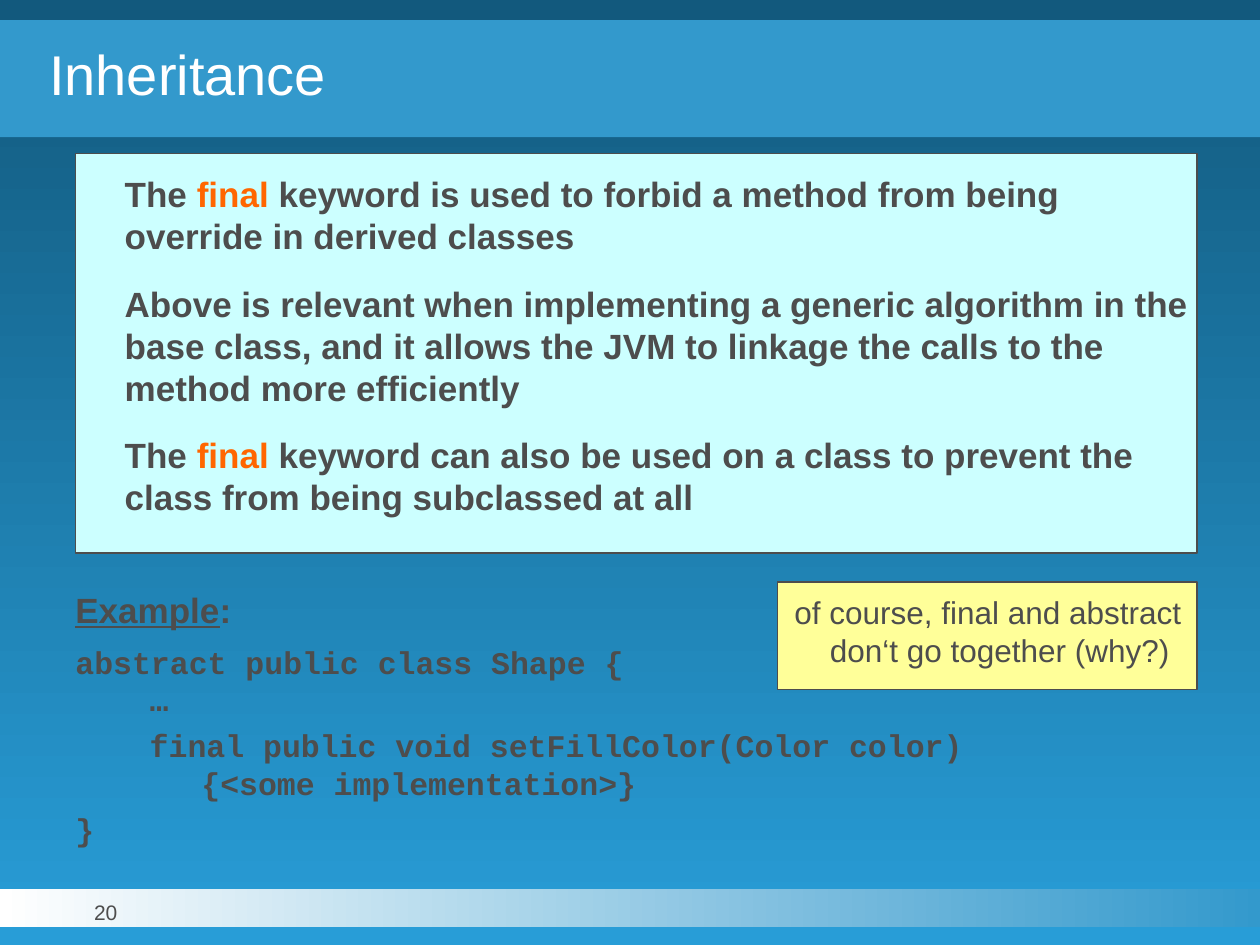
import pptx
import pptx.dml.color
import pptx.enum.shapes
import pptx.enum.text
import pptx.util

Inches, Pt = pptx.util.Inches, pptx.util.Pt
ALIGN = pptx.enum.text.PP_ALIGN
MIDDLE = pptx.enum.text.MSO_ANCHOR.MIDDLE
GREY, ORANGE, WHITE, BLUE = "4D4D4D", "FF6600", "FFFFFF", "3399CC"

POINTS = [
    ["The ", "final", " keyword is used to forbid a method from being "
     "override in derived classes"],
    ["Above is relevant when implementing a generic algorithm in the base "
     "class, and it allows the JVM to linkage the calls to the method more "
     "efficiently"],
    ["The ", "final", " keyword can also be used on a class to prevent the "
     "class from being subclassed at all"],
]
# text, left indent in inches, space before in points
CODE = [
    ("abstract public class Shape {", 0, 7),
    ("…", 0.59, 0),
    ("final public void setFillColor(Color color)", 0.59, 4.5),
    ("{<some implementation>}", 1, 0),
    ("}", 0, 4.5),
]


def rgb(code):
    return pptx.dml.color.RGBColor.from_string(code)


def blend(fill, first, last, angle):
    fill.gradient()
    fill.gradient_angle = angle
    for stop, code in zip(fill.gradient_stops, (first, last)):
        stop.color.rgb = rgb(code)


def rect(slide, left, top, width, height, color=None, line=None):
    shape = slide.shapes.add_shape(
        pptx.enum.shapes.MSO_SHAPE.RECTANGLE,
        Inches(left), Inches(top), Inches(width), Inches(height))
    shape.shadow.inherit = False
    if color:
        shape.fill.solid()
        shape.fill.fore_color.rgb = rgb(color)
    if line:
        shape.line.color.rgb = rgb(line)
        shape.line.width = Pt(0.75)
    else:
        shape.line.fill.background()
    return shape


def label(slide, left, top, width, height):
    return slide.shapes.add_textbox(
        Inches(left), Inches(top), Inches(width), Inches(height))


def frame(shape, left=0, top=0, right=0, bottom=0,
          anchor=pptx.enum.text.MSO_ANCHOR.TOP):
    """Set insets and anchor, and return the text frame."""
    body = shape.text_frame
    body.word_wrap = True
    body.margin_left, body.margin_top = Inches(left), Inches(top)
    body.margin_right, body.margin_bottom = Inches(right), Inches(bottom)
    body.vertical_anchor = anchor
    return body


def write(body, runs, size, color=GREY, bold=False, face="Arial",
          align=ALIGN.LEFT, left=0, first=0, before=0, pitch=None):
    """Add a paragraph; left and first are its indents in inches."""
    para = body.paragraphs[0]
    if para.runs:
        para = body.add_paragraph()
    for text in runs:
        para.add_run().text = text
    font = para.font
    font.name, font.size, font.bold = face, Pt(size), bold
    font.color.rgb = rgb(color)
    para.alignment = align
    para.space_before = Pt(before)
    para.line_spacing = pitch or Pt(size * 1.2)
    props = para._p.get_or_add_pPr()
    props.set("marL", str(Inches(left)))
    props.set("indent", str(Inches(first)))
    return para


def header(slide):
    body = frame(rect(slide, 0, 0.16, 10, 0.93, BLUE), anchor=MIDDLE)
    write(body, ["Inheritance"], 32, WHITE, left=0.39, pitch=0.85)


def footer(slide):
    blend(rect(slide, 0, 7.06, 10, 0.3).fill, WHITE, BLUE, 0)
    body = frame(label(slide, 0.31, 7.16, 1.06, 0.31))
    write(body, ["20"], 12, align=ALIGN.CENTER, pitch=Pt(13))


def example(slide):
    body = frame(label(slide, 0.5, 4.62, 9, 2.05), 0.1, 0.05, 0.1, 0.05)
    head = write(body, ["Example", ":"], 20, bold=True)
    head.runs[0].font.underline = True
    for text, left, before in CODE:
        write(body, [text], 18, bold=True, face="Courier New",
              left=left, before=before)


def points(slide):
    body = frame(rect(slide, 0.6, 1.22, 8.9, 3.17, "CCFFFF", GREY), top=0.15)
    for index, runs in enumerate(POINTS):
        para = write(body, runs, 20, bold=True, left=0.39,
                     before=14.5 if index else 0)
        for run in para.runs:
            if run.text == "final":
                run.font.color.rgb = rgb(ORANGE)


def remark(slide):
    shape = rect(slide, 6.17, 4.62, 3.33, 0.85, "FFFF99", GREY)
    body = frame(shape, bottom=0.08, anchor=MIDDLE)
    write(body, ["of course, final and abstract don‘t go together (why?)"],
          18, align=ALIGN.CENTER, left=0.2, first=-0.19)


def main():
    deck = pptx.Presentation()
    deck.slide_width, deck.slide_height = Inches(10), Inches(7.5)
    slide = deck.slides.add_slide(deck.slide_layouts[6])
    blend(slide.background.fill, "12597D", "289DD7", 270)
    footer(slide)
    header(slide)
    example(slide)
    points(slide)
    remark(slide)
    deck.save("out.pptx")


if __name__ == "__main__":
    main()
